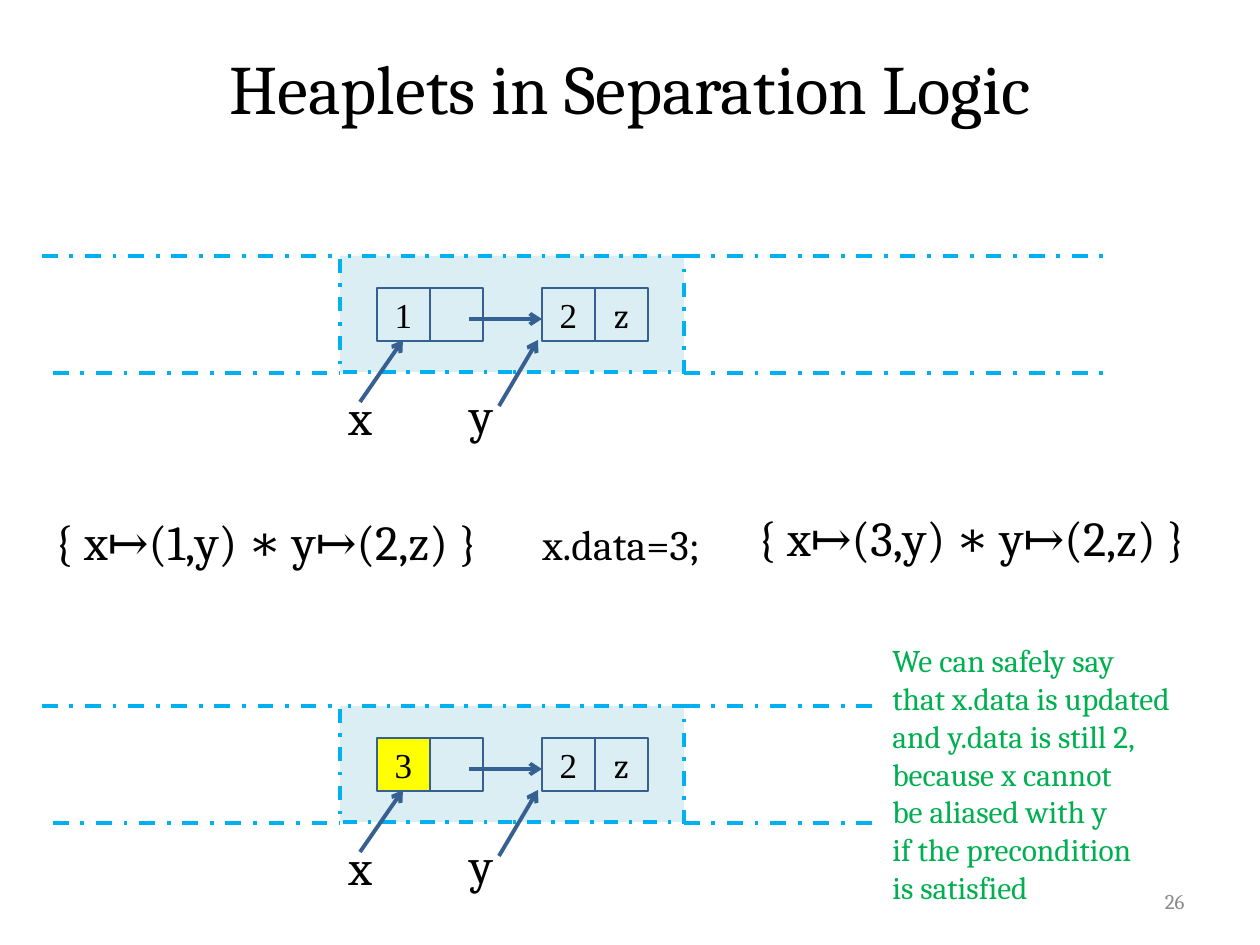
from pptx import Presentation
from pptx.dml.color import RGBColor
from pptx.enum.dml import MSO_LINE
from pptx.enum.shapes import MSO_CONNECTOR, MSO_SHAPE
from pptx.enum.text import MSO_ANCHOR, MSO_AUTO_SIZE, PP_ALIGN
from pptx.oxml.ns import qn
from pptx.util import Emu, Pt
from lxml.etree import SubElement

COLORS = {"ink": "000000", "heap": "DBEEF4", "edge": "00B0F0", "cell": "376092",
          "changed": "FFFF00", "note": "00B050", "page": "8C8C8C", "paper": "FFFFFF"}
SERIF, ROMAN = "Cambria", "Times New Roman"
SCALE = 914400 / 126

TITLE = "Heaplets in Separation Logic"
HEAPS = [(256, "1", None), (706, "3", "changed")]
NODES = [(377, ""), (542, "z")]
CELL = 53
HEAP = (340, 344, 116)
BORDERS = [(684, 1103, 0), (684, 1103, 117), (42, 340, 0), (53, 340, 117)]
ARROWS = [(360, 146, 403, 84), (469, 63, 542, 63), (499, 150, 538, 84)]
LABELS = [("x", (336, 124, 49, 72)), ("y", (457, 122, 50, 72))]
TRIPLE = [("{ x↦(1,y) ∗ y↦(2,z) }", (42, 505, 481, 72), 28),
          ("{ x↦(3,y) ∗ y↦(2,z) }", (745, 501, 471, 72), 28),
          ("x.data=3;", (530, 512, 200, 63), 24)]
NOTE = ["We can safely say", "that x.data is updated", "and y.data is still 2,",
        "because x cannot", "be aliased with y", "if the precondition", "is satisfied"]


def px(*values):
    return [Emu(round(v * SCALE)) for v in values]


def rgb(name):
    return RGBColor.from_string(COLORS[name])


def paint(sp, fill):
    if fill:
        sp.fill.solid()
        sp.fill.fore_color.rgb = rgb(fill)
    else:
        sp.fill.background()


def outline(sp, color, width, dash=None):
    sp.line.color.rgb = rgb(color)
    for name, value in {"width": Pt(width), "dash_style": dash}.items():
        setattr(sp.line, name, value)


def write(sp, lines, size, color="ink", font=SERIF, align=PP_ALIGN.LEFT, **frame):
    tf = sp.text_frame
    for name, value in frame.items():
        setattr(tf, name, value)
    for i, line in enumerate(lines):
        p = tf.paragraphs[0] if i == 0 else tf.add_paragraph()
        p.alignment = align
        r = p.add_run()
        r.text = line
        for name, value in {"name": font, "size": Pt(size)}.items():
            setattr(r.font, name, value)
        r.font.color.rgb = rgb(color)


def add_rect(shapes, box, fill):
    sp = shapes.add_shape(MSO_SHAPE.RECTANGLE, *px(*box))
    sp.shadow.inherit = False
    paint(sp, fill)
    return sp


def add_text(slide, box, lines, size, **style):
    sp = slide.shapes.add_textbox(*px(*box))
    write(sp, lines, size, **style)
    return sp


def add_label(slide, box, text, size):
    add_text(slide, box, [text], size, word_wrap=False,
             auto_size=MSO_AUTO_SIZE.SHAPE_TO_FIT_TEXT)


def add_line(slide, ends, color, dash=None, arrow=False):
    sp = slide.shapes.add_connector(MSO_CONNECTOR.STRAIGHT, *px(*ends))
    outline(sp, color, 2.25, dash)
    if arrow:
        SubElement(sp.line._get_or_add_ln(), qn("a:tailEnd"), type="arrow")
    SubElement(sp._element.spPr, qn("a:effectLst"))


def add_node(slide, left, top, values, fill):
    group = slide.shapes.add_group_shape()
    for i, value in enumerate(values):
        sp = add_rect(group.shapes, (left + i * CELL, top, CELL, CELL), None if i else fill)
        outline(sp, "cell", 1.5)
        if value:
            write(sp, [value], 20, font=ROMAN if value.isdigit() else SERIF,
                  align=PP_ALIGN.CENTER, word_wrap=False, vertical_anchor=MSO_ANCHOR.MIDDLE,
                  margin_left=0, margin_right=0, margin_top=0, margin_bottom=0)


def add_heap(slide, top, data, fill):
    left, width, height = HEAP
    heap = add_rect(slide.shapes, (left, top, width, height), "heap")
    outline(heap, "edge", 2, MSO_LINE.DASH_DOT)
    for (x, link), first, color in zip(NODES, (data, "2"), (fill, None)):
        add_node(slide, x, top + 32, (first, link), color)
    for x1, y1, x2, y2 in ARROWS:
        add_line(slide, (x1, top + y1, x2, top + y2), "cell", arrow=True)
    for text, (x, y, w, h) in LABELS:
        add_label(slide, (x, top + y, w, h), text, 28)
    for x1, x2, y in BORDERS:
        add_line(slide, (x1, top + y, x2, top + y), "edge", MSO_LINE.DASH_DOT)


def main():
    prs = Presentation()
    prs.slide_width, prs.slide_height = px(1260, 945)
    slide = prs.slides.add_slide(prs.slide_layouts[5])
    title = slide.shapes.title
    title.left, title.top, title.width, title.height = px(63, 38, 1134, 98)
    write(title, [TITLE], 39.6, align=PP_ALIGN.CENTER, vertical_anchor=MSO_ANCHOR.MIDDLE)
    for top, data, fill in HEAPS:
        add_heap(slide, top, data, fill)
    for text, box, size in TRIPLE:
        add_label(slide, box, text, size)
    note = add_text(slide, (880, 635, 318, 280), NOTE, 18, color="note", word_wrap=True,
                    auto_size=MSO_AUTO_SIZE.SHAPE_TO_FIT_TEXT)
    paint(note, "paper")
    add_text(slide, (903, 876, 294, 50), ["26"], 12, color="page", align=PP_ALIGN.RIGHT,
             word_wrap=True, vertical_anchor=MSO_ANCHOR.MIDDLE)
    prs.save("out.pptx")


if __name__ == "__main__":
    main()
